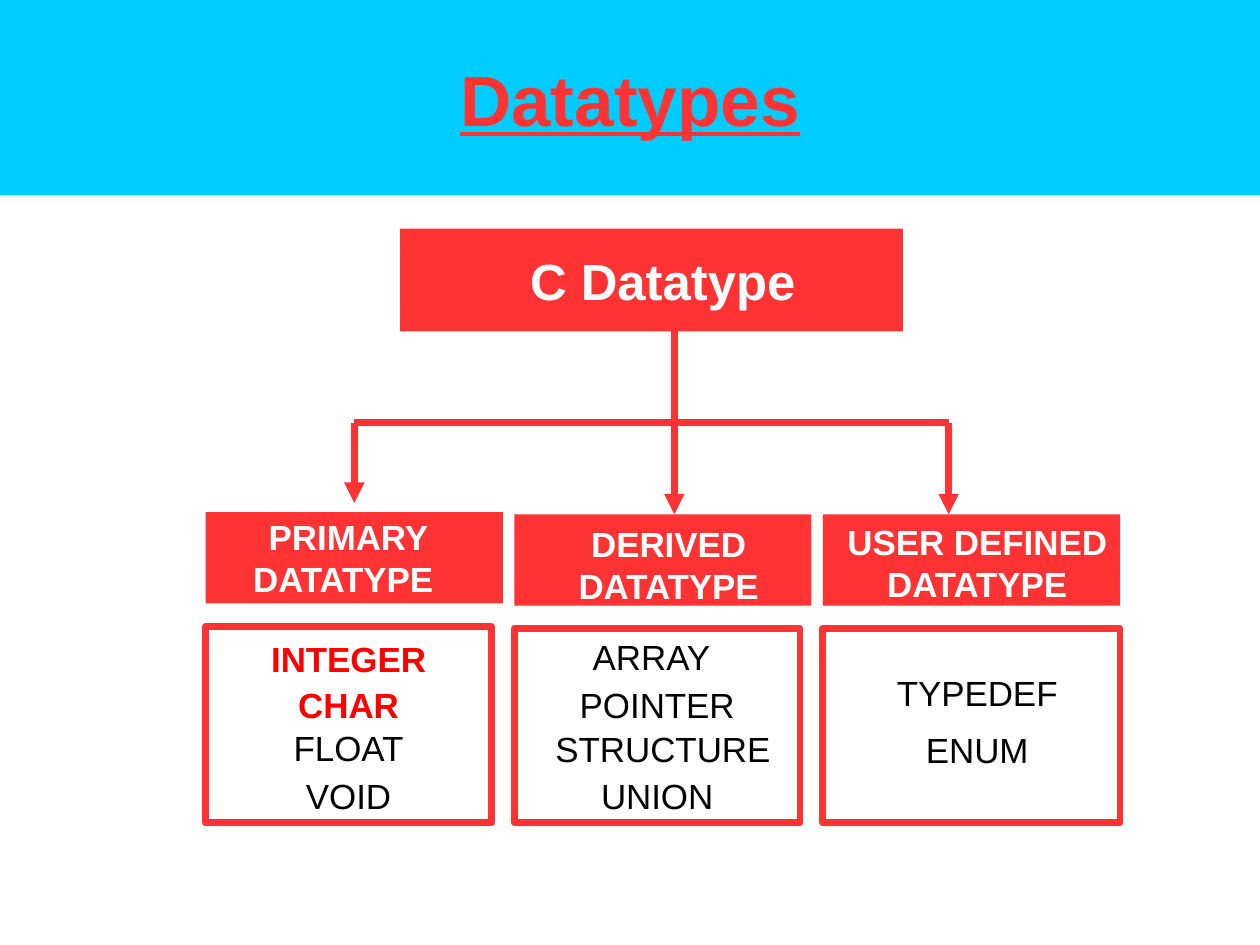
from lxml.etree import SubElement
from pptx import Presentation
from pptx.dml.color import RGBColor
from pptx.enum.shapes import MSO_CONNECTOR, MSO_SHAPE
from pptx.enum.text import MSO_ANCHOR, PP_ALIGN
from pptx.oxml.ns import qn
from pptx.util import Cm, Inches, Pt

# Content: places are left, top, width, height in inches
SLIDE_WIDTH, SLIDE_HEIGHT = Cm(28), Cm(21)
RED, BRIGHT, SKY, WHITE, BLACK = "FF3333", "FF0000", "00CCFF", "FFFFFF", "000000"
LINE = 4.31
BANNER = ("Datatypes", (0, 0, SLIDE_WIDTH.inches, 1.71))
ROOT = ("C Datatype", (3.5, 2, 4.4, 0.9), (4.2, 2.1, 3.2, 0.7))
TRUNK_X, BRANCH_Y = 5.9, 3.7
ITEM_WIDTH, ITEM_HEIGHT = 1.9, 0.48
ROOT_SIZE, BODY_SIZE = 32, 22

# Items: text, offset from the column's centre, top, highlighted
BRANCHES = [
    {"heading": "PRIMARY DATATYPE ", "label": (1.89, 4.48, 2.31, 0.8),
     "left": 1.8, "top": 4.48, "box_width": 2.5,
     "arrow": (3.1, BRANCH_Y, 4.4), "centre": 3.05,
     "items": [("INTEGER", 0, 5.52, True), ("CHAR", 0, 5.92, True),
               ("FLOAT", 0, 6.3, False), ("VOID", 0, 6.72, False)]},
    {"heading": "DERIVED DATATYPE", "label": (4.6, 4.59, 2.5, 0.7),
     "left": 4.5, "top": 4.5, "box_width": 2.5,
     "arrow": (TRUNK_X, 2.9, 4.5), "centre": 5.75,
     "items": [("ARRAY", -0.05, 5.5, False), ("POINTER", 0, 5.92, False),
               ("STRUCTURE", 0.05, 6.31, False), ("UNION", 0, 6.72, False)]},
    {"heading": "USER DEFINED DATATYPE", "label": (7.3, 4.58, 2.5, 0.68),
     "left": 7.2, "top": 4.5, "box_width": 2.6,
     "arrow": (8.3, BRANCH_Y, 4.5), "centre": 8.55,
     "items": [("TYPEDEF", 0, 5.82, False), ("ENUM", 0, 6.32, False)]},
]
HEADING_WIDTH, HEADING_HEIGHT = 2.6, 0.8
BOX_DROP, BOX_BOTTOM = 1, 7.2

deck = Presentation()
deck.slide_width, deck.slide_height = SLIDE_WIDTH, SLIDE_HEIGHT
slide = deck.slides.add_slide(deck.slide_layouts[6])


def colour(value):
    return RGBColor.from_string(value)


def add_box(place, fill, outline=None):
    box = slide.shapes.add_shape(MSO_SHAPE.RECTANGLE, *map(Inches, place))
    box.shadow.inherit = False
    box.fill.solid()
    box.fill.fore_color.rgb = colour(fill)
    if outline:
        box.line.color.rgb = colour(outline)
        box.line.width = Pt(LINE)
        SubElement(box.line._get_or_add_ln(), qn("a:round"))
    else:
        box.line.fill.background()
    return box


def write(holder, text, size, ink, bold=False, underline=False):
    frame = holder.text_frame
    frame.word_wrap = True
    frame.vertical_anchor = MSO_ANCHOR.MIDDLE
    frame.margin_left = frame.margin_right = 0
    frame.margin_top = frame.margin_bottom = 0
    line = frame.paragraphs[0]
    line.text = text
    line.alignment = PP_ALIGN.CENTER
    font = line.font
    font.name, font.size = "Arial", Pt(size)
    font.bold, font.underline = bold, underline
    font.color.rgb = colour(ink)


def add_label(place, *style):
    write(slide.shapes.add_textbox(*map(Inches, place)), *style)


def add_line(x1, y1, x2, y2, arrow=False):
    line = slide.shapes.add_connector(
        MSO_CONNECTOR.STRAIGHT, *map(Inches, (x1, y1, x2, y2)))
    line.line.color.rgb = colour(RED)
    line.line.width = Pt(LINE)
    if arrow:
        SubElement(line.line._get_or_add_ln(), qn("a:tailEnd"), type="triangle")
    SubElement(line._element.spPr, qn("a:effectLst"))


# Title banner
title, banner_place = BANNER
write(add_box(banner_place, SKY), title, 44.8, RED, True, True)

# Root of the tree and its horizontal branch
root, root_place, root_label = ROOT
add_box(root_place, RED)
add_line(BRANCHES[0]["arrow"][0], BRANCH_Y, BRANCHES[-1]["arrow"][0], BRANCH_Y)
add_label(root_label, root, ROOT_SIZE, WHITE, True)

# Arrow, heading and list box of each branch
for branch in BRANCHES:
    left, top = branch["left"], branch["top"]
    x, start, end = branch["arrow"]
    box_top = top + BOX_DROP
    add_box((left, top, HEADING_WIDTH, HEADING_HEIGHT), RED)
    add_line(x, start, x, end, arrow=True)
    add_box((left, box_top, branch["box_width"], BOX_BOTTOM - box_top), WHITE, RED)
    add_label(branch["label"], branch["heading"], BODY_SIZE, WHITE, True)
    for item, offset, item_top, marked in branch["items"]:
        item_left = branch["centre"] + offset - ITEM_WIDTH / 2
        add_label((item_left, item_top, ITEM_WIDTH, ITEM_HEIGHT),
                  item, BODY_SIZE, BRIGHT if marked else BLACK, marked)

deck.save("out.pptx")
